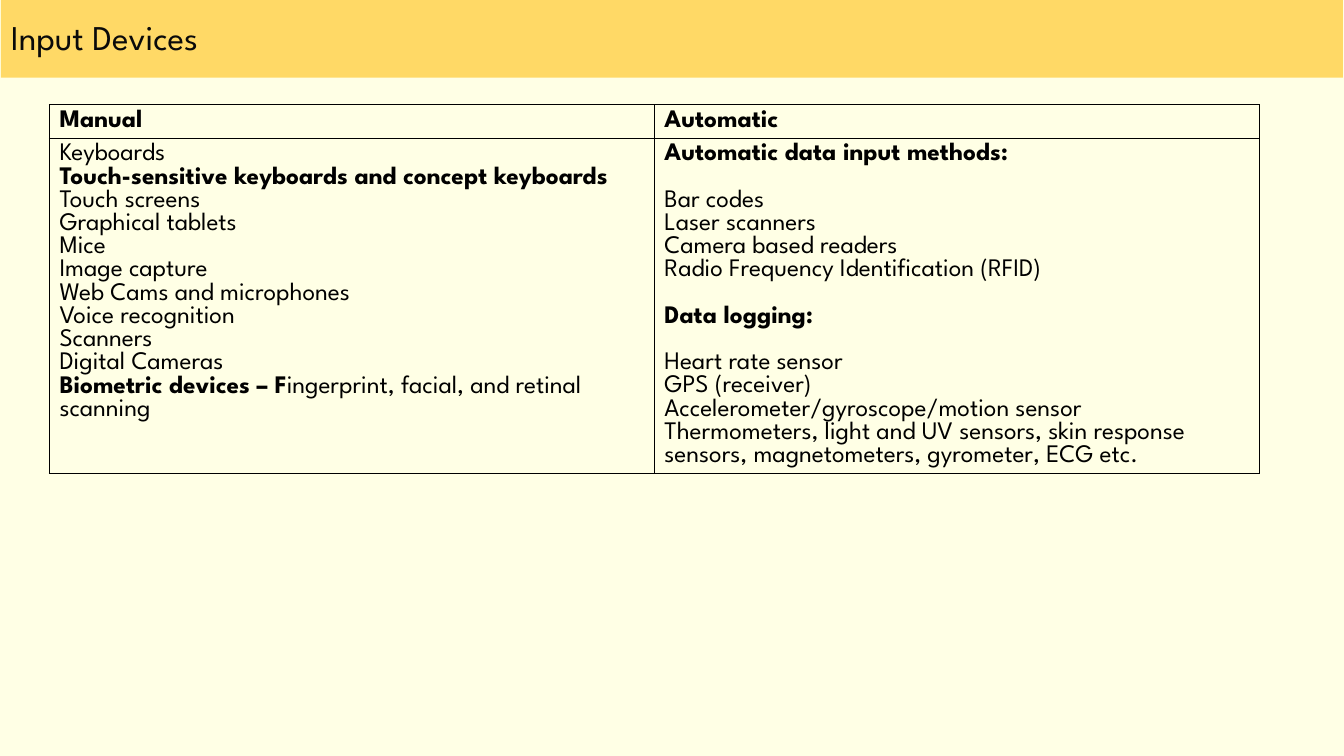
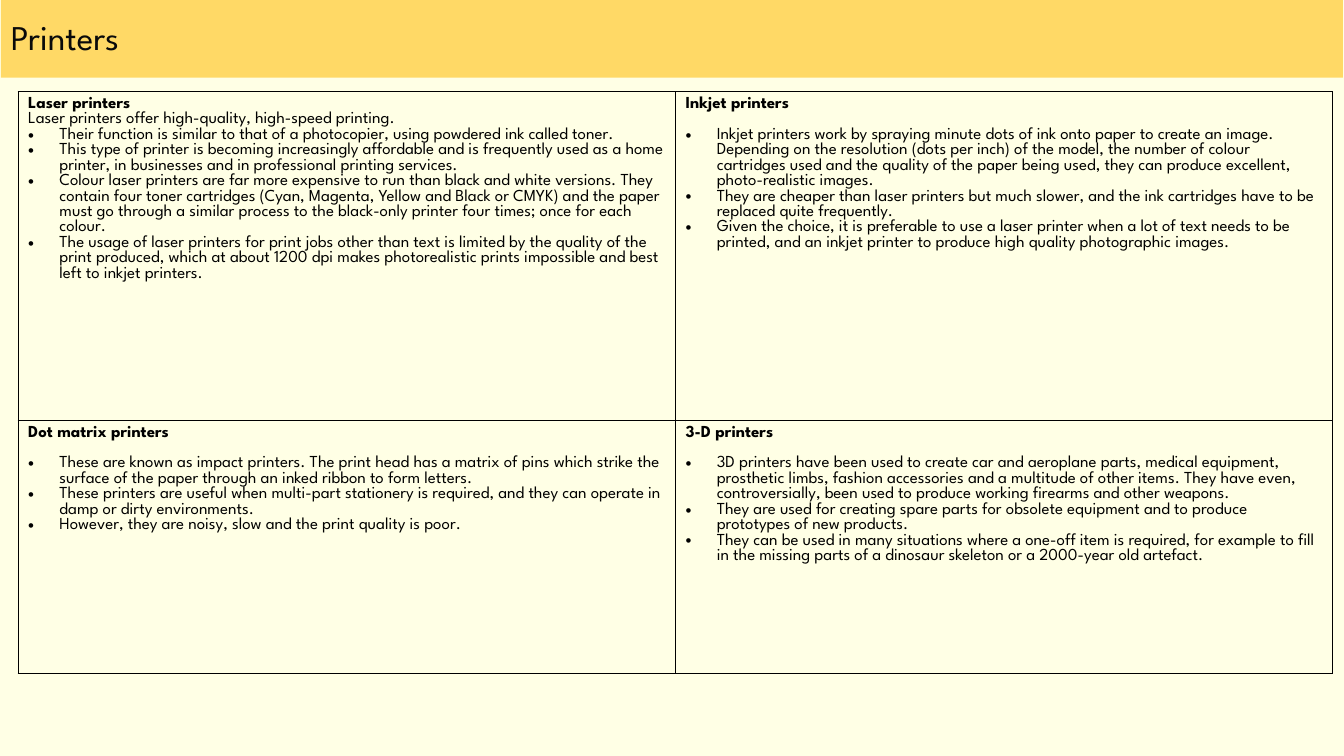
from dataclasses import dataclass

from lxml.etree import SubElement
from pptx import Presentation
from pptx.dml.color import RGBColor
from pptx.enum.shapes import MSO_SHAPE
from pptx.enum.text import MSO_ANCHOR, PP_ALIGN
from pptx.oxml.ns import qn
from pptx.util import Inches, Pt


@dataclass(frozen=True)
class Theme:
    font: str = "League Spartan"
    background: str = "FFFFE5"
    band: str = "FFD966"
    title: str = "0A0A0A"
    ink: str = "000000"
    title_size: float = 24.8
    border_width: float = 1
    line_height: float = 0.92  # height of a line of this font, per point of size


@dataclass(frozen=True)
class Line:
    """One paragraph: a bold lead, then plain text; gap leaves a line free above."""
    text: str = ""
    lead: str = ""
    bullet: bool = False
    gap: bool = False


THEME = Theme()


def plain(*texts, gap=False):
    return [Line(text, gap=gap and index == 0) for index, text in enumerate(texts)]


def bullets(*texts, gap=True):
    return [Line(text, bullet=True, gap=gap and index == 0) for index, text in enumerate(texts)]


MANUAL = [
    *plain("Keyboards"),
    Line(lead="Touch-sensitive keyboards and concept keyboards"),
    *plain("Touch screens", "Graphical tablets", "Mice", "Image capture",
           "Web Cams and microphones", "Voice recognition", "Scanners", "Digital Cameras"),
    Line("ingerprint, facial, and retinal scanning", lead="Biometric devices – F"),
]
AUTOMATIC = [
    Line(lead="Automatic data input methods:"),
    *plain("Bar codes", "Laser scanners", "Camera based readers",
           "Radio Frequency Identification (RFID)", gap=True),
    Line(lead="Data logging:", gap=True),
    *plain("Heart rate sensor", "GPS (receiver)", "Accelerometer/gyroscope/motion sensor",
           "Thermometers, light and UV sensors, skin response sensors, magnetometers, "
           "gyrometer, ECG etc.", gap=True),
]
LASER = [
    Line(lead="Laser printers"),
    *plain("Laser printers offer high-quality, high-speed printing."),
    *bullets(
        "Their function is similar to that of a photocopier, using powdered ink called toner.",
        "This type of printer is becoming increasingly affordable and is frequently used as a "
        "home printer, in businesses and in professional printing services.",
        "Colour laser printers are far more expensive to run than black and white versions. They "
        "contain four toner cartridges (Cyan, Magenta, Yellow and Black or CMYK) and the paper "
        "must go through a similar process to the black-only printer four times; once for each "
        "colour.",
        "The usage of laser printers for print jobs other than text is limited by the quality of "
        "the print produced, which at about 1200 dpi makes photorealistic prints impossible and "
        "best left to inkjet printers.", gap=False),
]
INKJET = [
    Line(lead="Inkjet printers"),
    *bullets(
        "Inkjet printers work by spraying minute dots of ink onto paper to create an image. "
        "Depending on the resolution (dots per inch) of the model, the number of colour "
        "cartridges used and the quality of the paper being used, they can produce excellent, "
        "photo-realistic images.",
        "They are cheaper than laser printers but much slower, and the ink cartridges have to be "
        "replaced quite frequently.",
        "Given the choice, it is preferable to use a laser printer when a lot of text needs to be "
        "printed, and an inkjet printer to produce high quality photographic images."),
]
DOT_MATRIX = [
    Line(lead="Dot matrix printers"),
    *bullets(
        "These are known as impact printers. The print head has a matrix of pins which strike the "
        "surface of the paper through an inked ribbon to form letters.",
        "These printers are useful when multi-part stationery is required, and they can operate "
        "in damp or dirty environments.",
        "However, they are noisy, slow and the print quality is poor."),
]
THREE_D = [
    Line(lead="3-D printers"),
    *bullets(
        "3D printers have been used to create car and aeroplane parts, medical equipment, "
        "prosthetic limbs, fashion accessories and a multitude of other items. They have even, "
        "controversially, been used to produce working firearms and other weapons.",
        "They are used for creating spare parts for obsolete equipment and to produce prototypes "
        "of new products.",
        "They can be used in many situations where a one-off item is required, for example to "
        "fill in the missing parts of a dinosaur skeleton or a 2000-year old artefact."),
]

SLIDES = [
    dict(title="Input Devices", left=0.49, top=1.04, column_width=6, row_heights=[0.33, 3.33],
         size=18, rows=[[[Line(lead="Manual")], [Line(lead="Automatic")]],
                        [MANUAL, AUTOMATIC]]),
    dict(title="Printers", left=0.18, top=0.91, column_width=6.52, row_heights=[3.26, 2.51],
         size=12, rows=[[LASER, INKJET], [DOT_MATRIX, THREE_D]]),
]


def add_text(paragraph, text, *, size, color=THEME.ink, bold=False):
    run = paragraph.add_run()
    run.text = text
    run.font.name = THEME.font
    run.font.size = Pt(size)
    run.font.bold = bold
    run.font.color.rgb = RGBColor.from_string(color)


def set_bullet(paragraph, indent=Inches(0.31)):
    properties = paragraph._p.get_or_add_pPr()
    properties.set("marL", str(indent))
    properties.set("indent", str(-indent))
    SubElement(properties, qn("a:buFont"), typeface="Arial")
    SubElement(properties, qn("a:buChar"), char="•")


def set_borders(cell):
    properties = cell._tc.get_or_add_tcPr()
    for side in ("a:lnL", "a:lnR", "a:lnT", "a:lnB"):
        border = SubElement(properties, qn(side), w=str(Pt(THEME.border_width)))
        fill = SubElement(border, qn("a:solidFill"))
        SubElement(fill, qn("a:srgbClr"), val=THEME.ink)


def fill_cell(cell, lines, size):
    set_borders(cell)
    cell.fill.background()
    for index, line in enumerate(lines):
        frame = cell.text_frame
        paragraph = frame.add_paragraph() if index else frame.paragraphs[0]
        if line.gap:
            paragraph.space_before = Pt(size * THEME.line_height)
        if line.bullet:
            set_bullet(paragraph)
        for text, bold in ((line.lead, True), (line.text, False)):
            if text:
                add_text(paragraph, text, size=size, bold=bold)


def add_title_band(slide, title):
    band = slide.shapes.add_shape(MSO_SHAPE.RECTANGLE, Inches(0.01), 0,
                                  Inches(13.31), Inches(0.77))
    band.shadow.inherit = False
    band.fill.solid()
    band.fill.fore_color.rgb = RGBColor.from_string(THEME.band)
    band.line.fill.background()
    band.text_frame.word_wrap = True
    band.text_frame.vertical_anchor = MSO_ANCHOR.MIDDLE
    paragraph = band.text_frame.paragraphs[0]
    paragraph.alignment = PP_ALIGN.LEFT
    paragraph.line_spacing = 0.9
    add_text(paragraph, title, size=THEME.title_size, color=THEME.title)


def add_text_table(slide, *, left, top, column_width, row_heights, size, rows):
    columns = len(rows[0])
    table = slide.shapes.add_table(
        len(rows), columns, Inches(left), Inches(top),
        Inches(column_width * columns), Inches(sum(row_heights))).table
    table.first_row = table.horz_banding = False
    for column in table.columns:
        column.width = Inches(column_width)
    for row_index, (height, row) in enumerate(zip(row_heights, rows)):
        table.rows[row_index].height = Inches(height)
        for column_index, lines in enumerate(row):
            fill_cell(table.cell(row_index, column_index), lines, size)


def main():
    presentation = Presentation()
    presentation.slide_width = Inches(13.33)
    presentation.slide_height = Inches(7.5)
    background = presentation.slide_master.background.fill
    background.solid()
    background.fore_color.rgb = RGBColor.from_string(THEME.background)
    for content in SLIDES:
        slide = presentation.slides.add_slide(presentation.slide_layouts[6])
        add_title_band(slide, content["title"])
        add_text_table(slide, **{key: value for key, value in content.items() if key != "title"})
    presentation.save("out.pptx")


if __name__ == "__main__":
    main()
